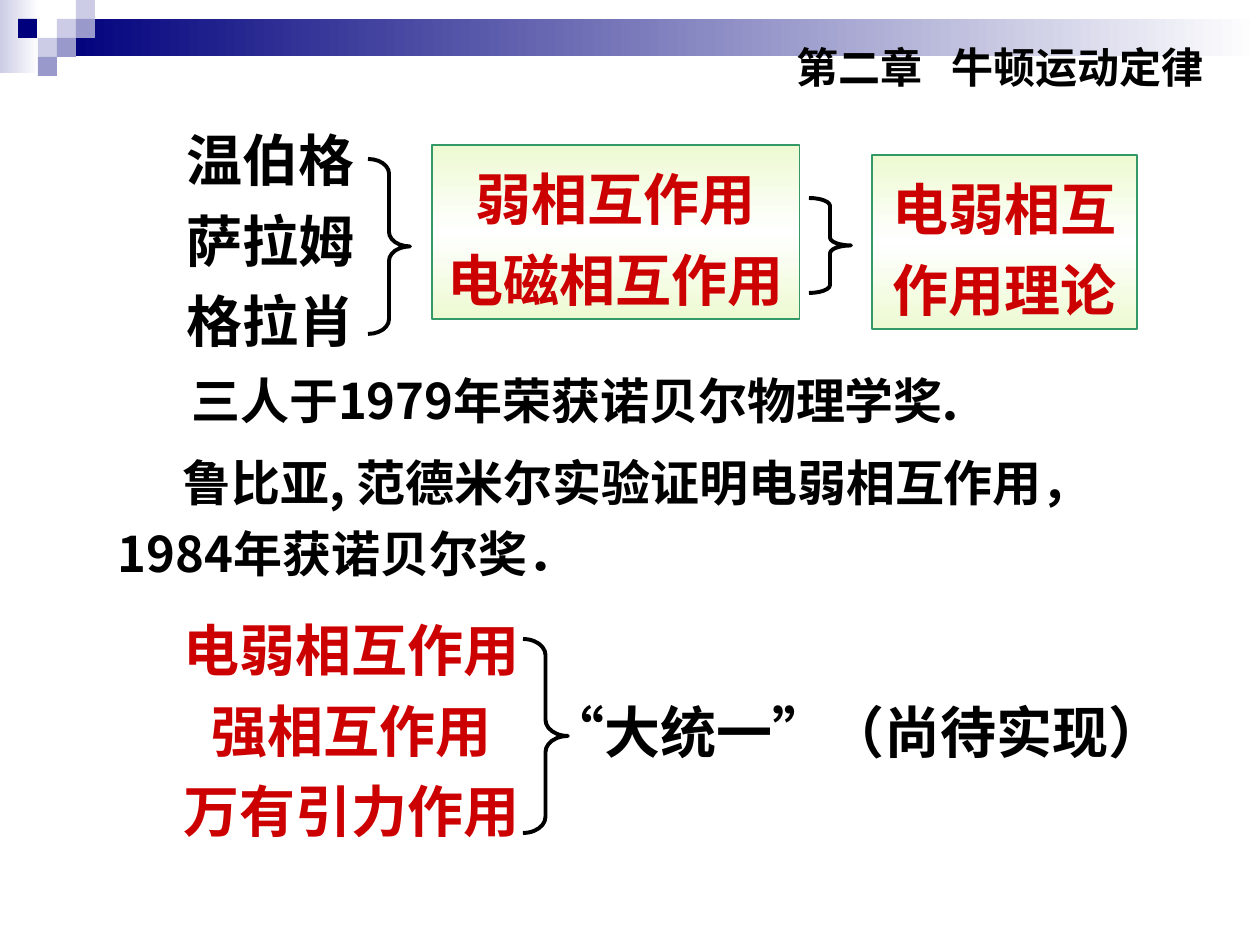
import pptx
import pptx.dml.color
import pptx.enum.shapes
import pptx.enum.text
import pptx.oxml
import pptx.oxml.ns
import pptx.util

EMU_PER_PX = 914400 // 126
SANS = "Noto Sans CJK SC"
BLACK, RED, GREEN = "000000", "CC0000", "339966"
NAVY, LILAC, VIOLET, WHITE = "00007D", "CCCCE6", "9999CC", "FFFFFF"
PALE = "EDFAD2"


def px(length):
    """Turn pixels into EMU."""
    return pptx.util.Emu(length * EMU_PER_PX)


def color(value):
    """Turn a hex string into a colour."""
    return pptx.dml.color.RGBColor.from_string(value)


class SlideBuilder:
    """Holds the style and the current slide."""

    def __init__(self, slide, font=SANS, size=32, spacing=1.2):
        """Keep the slide and the default text style."""
        self.slide = slide
        self.font = font
        self.size = size
        self.spacing = spacing

    def shape(self, kind, box):
        """Add a preset shape without shadow or line."""
        shape = self.slide.shapes.add_shape(kind, *map(px, box))
        shape.shadow.inherit = False
        shape.line.fill.background()
        return shape

    def rectangle(self, box, colors, angle=0):
        """Add a rectangle with a solid or evenly graded fill."""
        shape = self.shape(pptx.enum.shapes.MSO_SHAPE.RECTANGLE, box)
        if len(colors) == 1:
            shape.fill.solid()
            shape.fill.fore_color.rgb = color(colors[0])
            return shape
        shape.fill.gradient()
        shape.fill.gradient_angle = angle
        stops = shape.fill._fill._gradFill.find(pptx.oxml.ns.qn("a:gsLst"))
        for stop in list(stops):
            stops.remove(stop)
        for index, value in enumerate(colors):
            position = index * 100000 // (len(colors) - 1)
            stops.append(pptx.oxml.parse_xml(
                f'<a:gs {pptx.oxml.ns.nsdecls("a")} pos="{position}">'
                f'<a:srgbClr val="{value}"/></a:gs>'))
        return shape

    def brace(self, box):
        """Add a right brace whose curves take a twelfth of its height."""
        shape = self.shape(pptx.enum.shapes.MSO_SHAPE.RIGHT_BRACE, box)
        shape.adjustments[0] = box[3] / 12 / box[2]
        shape.fill.background()
        shape.line.color.rgb = color(BLACK)
        shape.line.width = pptx.util.Pt(2.25)

    def run(self, paragraph, text, value, size=None, font=None):
        """Add one bold run."""
        run = paragraph.add_run()
        run.text = text
        run.font.size = pptx.util.Pt(size or self.size)
        run.font.bold = True
        run.font.color.rgb = color(value)
        run.font.name = font or self.font
        east_asian = pptx.oxml.parse_xml(
            f'<a:ea {pptx.oxml.ns.nsdecls("a")} typeface="{font or self.font}"/>')
        run.font._element.find(pptx.oxml.ns.qn("a:latin")).addnext(east_asian)

    def paragraph(self, frame, index, centered=False, indent=0):
        """Return the next paragraph with spacing, alignment and indent."""
        paragraph = frame.add_paragraph() if index else frame.paragraphs[0]
        paragraph.line_spacing = self.spacing
        align = pptx.enum.text.PP_ALIGN
        paragraph.alignment = align.CENTER if centered else align.LEFT
        if indent:
            properties = paragraph._p.get_or_add_pPr()
            properties.set("marL", str(px(indent)))
            properties.set("indent", "0")
        return paragraph

    def lines(self, frame, texts, value, centered=False):
        """Fill a frame with one paragraph for each text."""
        for index, text in enumerate(texts):
            self.run(self.paragraph(frame, index, centered), text, value)

    def frame(self, box, inset=True):
        """Add a wrapping text box and return its frame."""
        frame = self.slide.shapes.add_textbox(*map(px, box)).text_frame
        frame.word_wrap = True
        if not inset:
            frame.margin_left = frame.margin_right = 0
            frame.margin_top = frame.margin_bottom = 0
        return frame

    def panel(self, box, texts):
        """Add a green framed panel with centred red lines."""
        shape = self.rectangle(box, [PALE, WHITE, PALE], 90)
        shape.line.color.rgb = color(GREEN)
        shape.line.width = pptx.util.Pt(0.75)
        shape.text_frame.word_wrap = True
        shape.text_frame.vertical_anchor = pptx.enum.text.MSO_ANCHOR.TOP
        self.lines(shape.text_frame, texts, RED, True)

    def header(self, box, chapter, title, tab):
        """Add the chapter number and the title at a tab stop."""
        paragraph = self.frame(box).paragraphs[0]
        paragraph._p.get_or_add_pPr().append(pptx.oxml.parse_xml(
            f'<a:tabLst {pptx.oxml.ns.nsdecls("a")}>'
            f'<a:tab pos="{px(tab)}" algn="l"/></a:tabLst>'))
        self.run(paragraph, f"{chapter}\t{title}", BLACK, 24, "Arial")


def main():
    """Build the slide and save it."""
    presentation = pptx.Presentation()
    presentation.slide_width = px(1260)
    presentation.slide_height = px(945)
    slide = presentation.slides.add_slide(presentation.slide_layouts[6])
    builder = SlideBuilder(slide)

    builder.rectangle((0, 0, 39, 73), [LILAC, WHITE])
    builder.rectangle((57, 19, 1203, 37), [NAVY, WHITE])
    squares = [(57, 19, LILAC), (76, 0, LILAC), (76, 19, VIOLET), (38, 38, LILAC),
               (18, 19, NAVY), (57, 38, VIOLET), (38, 57, VIOLET)]
    for left, top, value in squares:
        builder.rectangle((left, top, 19, 19), [value])
    builder.header((784, 35, 476, 63), "第二章", "牛顿运动定律", 155)

    builder.lines(builder.frame((174, 106, 252, 255)),
                  ["温伯格", "萨拉姆", "格拉肖"], BLACK)
    builder.panel((432, 145, 368, 174), ["弱相互作用", "电磁相互作用"])
    builder.panel((872, 155, 265, 174), ["电弱相互", "作用理论"])
    for box in [(368, 159, 42, 175), (809, 198, 42, 95), (523, 639, 45, 194)]:
        builder.brace(box)

    award = builder.paragraph(builder.frame((179, 344, 958, 93)), 0)
    builder.run(award, "三人于1979年荣获诺贝尔物理学奖", BLACK, 28)
    builder.run(award, "．", BLACK, 32, "Times New Roman")

    proof = builder.frame((71, 441, 1095, 141), inset=False)
    for index, (text, indent) in enumerate([
            ("鲁比亚, 范德米尔实验证明电弱相互作用，", 112),
            ("1984年获诺贝尔奖．", 47)]):
        builder.run(builder.paragraph(proof, index, indent=indent), text, BLACK, 28)

    builder.lines(builder.frame((147, 596, 410, 255)),
                  ["电弱相互作用", "强相互作用", "万有引力作用"], RED, True)
    builder.lines(builder.frame((548, 684, 635, 81), inset=False),
                  ["“大统一”（尚待实现）"], BLACK)
    presentation.save("out.pptx")


if __name__ == "__main__":
    main()
